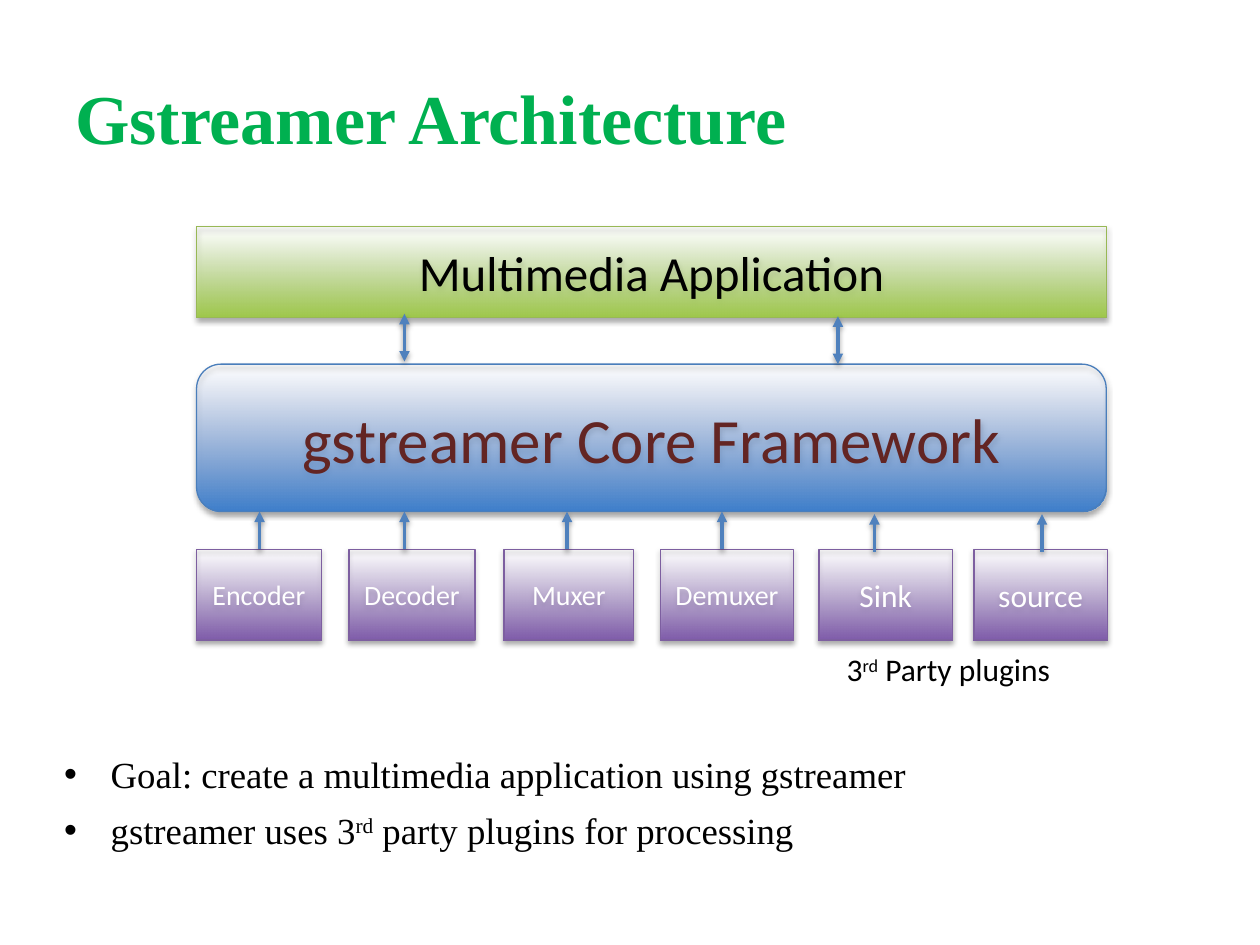
from pptx import Presentation
from pptx.dml.color import RGBColor
from pptx.enum.shapes import MSO_CONNECTOR, MSO_SHAPE
from pptx.enum.text import MSO_ANCHOR, PP_ALIGN
from pptx.oxml import parse_xml
from pptx.oxml.ns import qn
from pptx.util import Inches, Pt

# Content
TITLE = "Gstreamer Architecture"
BULLETS = [
    [("Goal: create a multimedia application using gstreamer", 0)],
    [("gstreamer uses 3", 0), ("rd", 30), (" party plugins for processing", 0)],
]
CAPTION = [("3", 0), ("rd", 30), (" Party plugins", 0)]
# name, left, width, text size, arrow centre, arrow drop
PLUGINS = [
    ("Encoder", 1.56, 0.99, 16, 2.06, 0),
    ("Decoder", 2.77, 1.00, 16, 3.21, 0),
    ("Muxer", 4.00, 1.03, 16, 4.50, 0),
    ("Demuxer", 5.24, 1.06, 16, 5.73, 0),
    ("Sink", 6.50, 1.06, 18, 6.94, 0.02),
    ("source", 7.73, 1.06, 18, 8.27, 0.02),
]
APP_LINKS = [(6.65, 2.51), (3.21, 2.49)]

# Layout in inches
LEFT, WIDTH = 1.56, 7.22
APP_TOP, CORE_TOP, PLUGIN_TOP = 1.8, 2.89, 4.36
BOX_H, CORE_H = 0.72, 1.17
CORE_BOTTOM = CORE_TOP + CORE_H

COLORS = {"title": "00B050", "black": "000000", "white": "FFFFFF",
          "core_text": "632523", "arrow": "4F81BD"}
# bottom colour, fading top colour, outline
STYLES = {"app": ("9FC949", "D9FFA4", "98B855"),
          "core": ("3E7FCC", "A4C1FF", "4A7EBB"),
          "plugin": ("7E5AAA", "C7AEED", "7D5FA0")}
NS = 'xmlns:a="http://schemas.openxmlformats.org/drawingml/2006/main"'

prs = Presentation()
prs.slide_width, prs.slide_height = Inches(10), Inches(7.5)
s = prs.slides.add_slide(prs.slide_layouts[6])


def write(sp, paragraphs, size=18, font="Calibri", color="black", bold=False,
          align=PP_ALIGN.LEFT, anchor=MSO_ANCHOR.TOP, wrap=True, bullet=False):
    tf = sp.text_frame
    tf.word_wrap, tf.vertical_anchor = wrap, anchor
    for i, runs in enumerate(paragraphs):
        p = tf.add_paragraph() if i else tf.paragraphs[0]
        p.alignment = align
        if bullet:
            p.space_before = Pt(6.4)
            pPr = p._p.get_or_add_pPr()
            pPr.set("marL", str(Inches(0.38)))
            pPr.set("indent", str(Inches(-0.37)))
            pPr.append(parse_xml(f'<a:buFont {NS} typeface="Arial"/>'))
            pPr.append(parse_xml(f'<a:buChar {NS} char="•"/>'))
        for text, raised in runs:
            r = p.add_run()
            r.text = text
            r.font.name, r.font.size, r.font.bold = font, Pt(size), bold
            r.font.color.rgb = RGBColor.from_string(COLORS[color])
            if raised:
                r._r.get_or_add_rPr().set("baseline", str(raised * 1000))


def textbox(x, y, w, h, paragraphs, **fmt):
    sp = s.shapes.add_textbox(*map(Inches, (x, y, w, h)))
    write(sp, paragraphs, **fmt)


def add_shadow(sp, dist, alpha):
    sp._element.spPr.append(parse_xml(
        f'<a:effectLst {NS}><a:outerShdw blurRad="{Pt(3.1)}" dist="{Pt(dist)}" '
        f'dir="5400000" rotWithShape="0"><a:srgbClr val="000000">'
        f'<a:alpha val="{alpha * 1000}"/></a:srgbClr></a:outerShdw></a:effectLst>'))


def box(x, y, w, h, text, style, kind=MSO_SHAPE.RECTANGLE, **fmt):
    low, high, line = STYLES[style]
    sp = s.shapes.add_shape(kind, *map(Inches, (x, y, w, h)))
    sp.line.color.rgb = RGBColor.from_string(line)
    sp.line.width = Pt(0.75)
    sp._element.spPr.find(qn("a:prstGeom")).addnext(parse_xml(
        f'<a:gradFill {NS} rotWithShape="1"><a:gsLst>'
        f'<a:gs pos="0"><a:srgbClr val="{low}"/></a:gs>'
        f'<a:gs pos="100000"><a:srgbClr val="{high}"><a:alpha val="0"/></a:srgbClr></a:gs>'
        f'</a:gsLst><a:lin ang="16200000" scaled="0"/></a:gradFill>'))
    add_shadow(sp, 1.8, 35)
    write(sp, [[(text, 0)]], align=PP_ALIGN.CENTER, anchor=MSO_ANCHOR.MIDDLE, **fmt)


def arrow(x, y1, y2, ends=("tailEnd",)):
    c = s.shapes.add_connector(MSO_CONNECTOR.STRAIGHT, *map(Inches, (x, y1, x, y2)))
    c.line.color.rgb = RGBColor.from_string(COLORS["arrow"])
    c.line.width = Pt(2)
    for end in ends:
        c.line._get_or_add_ln().append(parse_xml(f'<a:{end} {NS} type="triangle"/>'))
    add_shadow(c, 1.6, 38)


# Title and bullets
textbox(0.5, 0.3, 9, 1.25, [[(TITLE, 0)]], size=40, font="Times New Roman",
        color="title", bold=True, anchor=MSO_ANCHOR.MIDDLE)
textbox(0.4, 5.92, 8.69, 1.25, BULLETS, size=21, font="Times New Roman", bullet=True)

# Layers
box(LEFT, CORE_TOP, WIDTH, CORE_H, "gstreamer Core Framework", "core",
    MSO_SHAPE.ROUNDED_RECTANGLE, size=36, color="core_text")
box(LEFT, APP_TOP, WIDTH, BOX_H, "Multimedia Application", "app", size=28)
for name, x, w, size, _, _ in PLUGINS:
    box(x, PLUGIN_TOP, w, BOX_H, name, "plugin", size=size, color="white")

# Arrows
for x, y in APP_LINKS:
    arrow(x, y, y + 0.38, ("headEnd", "tailEnd"))
for *_, x, drop in PLUGINS:
    arrow(x, PLUGIN_TOP + drop, CORE_BOTTOM + drop)

# Caption
textbox(6.62, 5.11, 2.21, 0.4, [CAPTION], wrap=False)

prs.save("out.pptx")
